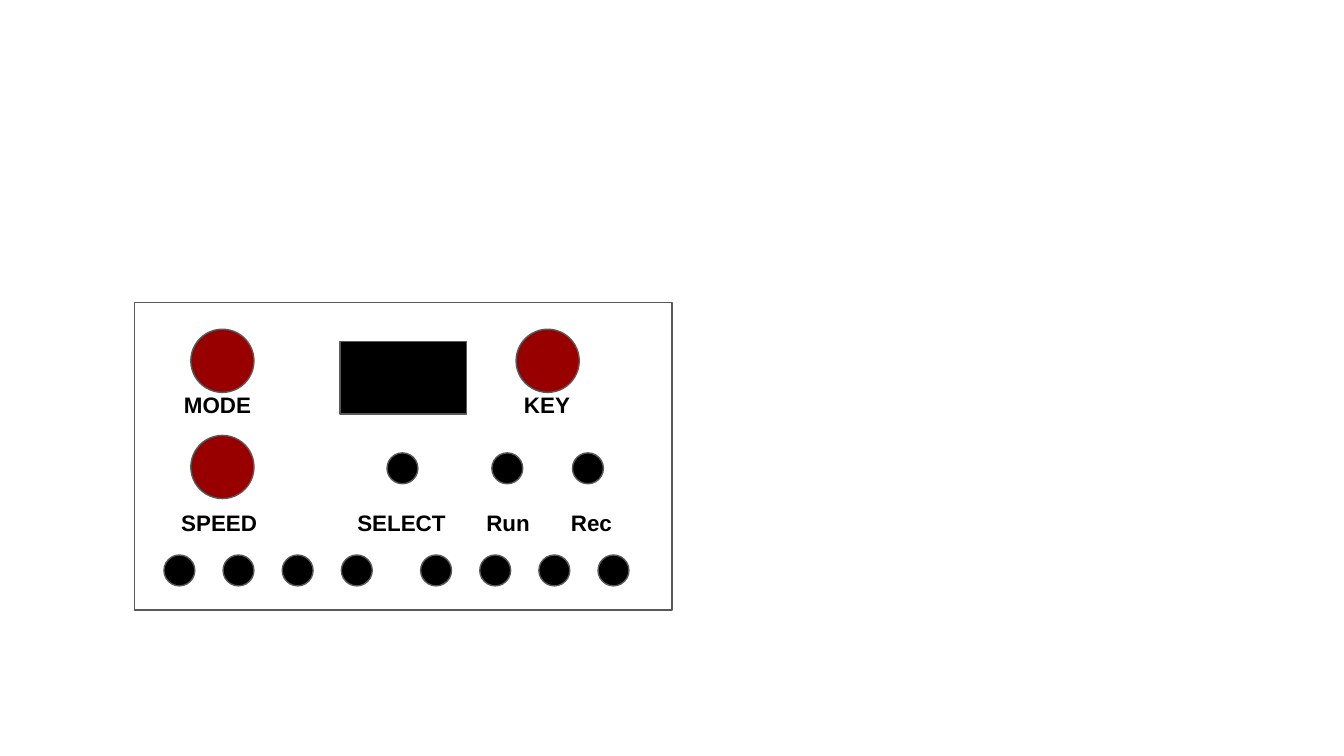
"""Build a slide with the front panel of a sequencer."""
from pptx import Presentation
from pptx import util as u
from pptx.dml.color import RGBColor
from pptx.enum import shapes, text

COLORS = {"body": "000000", "knob": "980000", "outline": "595959"}
BUTTON, KNOB = 0.23, 0.47
LABEL_FRAME = {
    "margin_left": u.Inches(0.1),
    "margin_right": u.Inches(0.1),
    "margin_top": u.Inches(0.1),
    "margin_bottom": u.Inches(0.1),
    "word_wrap": True,
    "auto_size": text.MSO_AUTO_SIZE.SHAPE_TO_FIT_TEXT,
}
LABEL_FONT = {"name": "Arial", "size": u.Pt(12), "bold": True}


def add_outlined(s, kind, left, top, width, height, fill=None):
    """Add a thinly outlined shape, filled when a colour is named."""
    sp = s.shapes.add_shape(kind, *map(u.Inches, (left, top, width, height)))
    sp.shadow.inherit = False
    if fill:
        sp.fill.solid()
        sp.fill.fore_color.rgb = RGBColor.from_string(COLORS[fill])
    else:
        sp.fill.background()
    sp.line.color.rgb = RGBColor.from_string(COLORS["outline"])
    sp.line.width = u.Pt(0.75)


def add_rect(s, left, top, width, height, fill=None):
    """Add a rectangle."""
    add_outlined(s, shapes.MSO_SHAPE.RECTANGLE, left, top, width, height, fill)


def add_disc(s, left, top, size, fill):
    """Add a round control."""
    add_outlined(s, shapes.MSO_SHAPE.OVAL, left, top, size, size, fill)


def add_label(s, label, left, top, width):
    """Add the bold caption of a control."""
    tf = s.shapes.add_textbox(*map(u.Inches, (left, top, width, 0.4))).text_frame
    for name, value in LABEL_FRAME.items():
        setattr(tf, name, value)
    r = tf.paragraphs[0].add_run()
    r.text = label
    for name, value in LABEL_FONT.items():
        setattr(r.font, name, value)
    r.font.color.rgb = RGBColor.from_string(COLORS["body"])


def main():
    """Draw the panel and save the presentation."""
    prs = Presentation()
    prs.slide_width = u.Inches(10)
    prs.slide_height = prs.slide_width * 9 // 16
    s = prs.slides.add_slide(prs.slide_layouts[6])

    add_rect(s, 1, 2.25, 4, 2.29)
    for group_left in (1.22, 3.13):
        for step in range(4):
            add_disc(s, group_left + 0.44 * step, 4.13, BUTTON, "body")
    add_rect(s, 2.53, 2.54, 0.94, 0.54, "body")

    for label, left, top, width in (
        ("MODE", 1.27, 2.81, 0.81),
        ("KEY", 3.8, 2.81, 0.81),
        ("SPEED", 1.25, 3.69, 0.81),
        ("SELECT", 2.56, 3.69, 0.88),
    ):
        add_label(s, label, left, top, width)

    for left, top in ((1.42, 2.45), (3.84, 2.45), (1.42, 3.24)):
        add_disc(s, left, top, KNOB, "knob")
    add_disc(s, 2.88, 3.37, BUTTON, "body")
    for label, left in (("Run", 3.52), ("Rec", 4.15)):
        add_label(s, label, left, 3.69, 0.54)
    for left in (3.66, 4.26):
        add_disc(s, left, 3.37, BUTTON, "body")

    prs.save("out.pptx")


if __name__ == "__main__":
    main()
